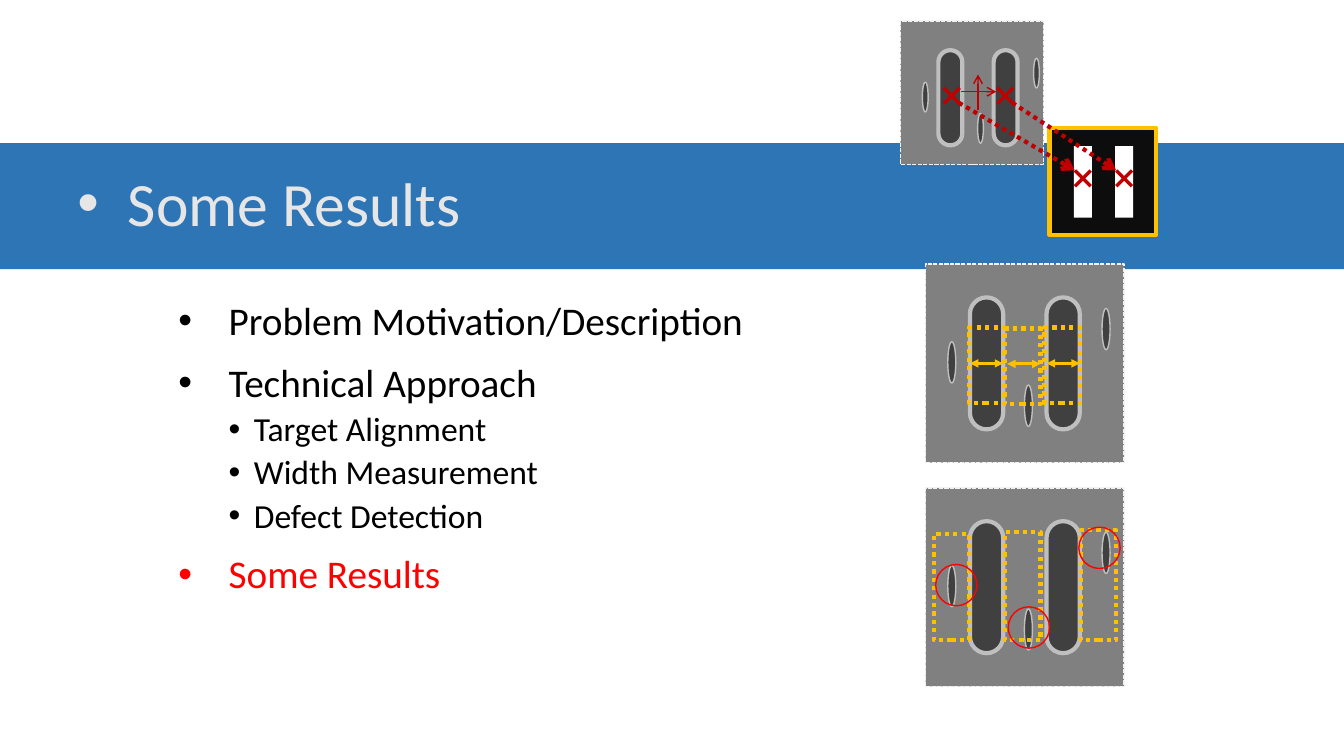
from pptx import Presentation
from pptx.dml.color import RGBColor
from pptx.enum.dml import MSO_LINE as Dash
from pptx.enum.shapes import MSO_CONNECTOR as Link, MSO_SHAPE as Shape
from pptx.enum.text import MSO_ANCHOR as Anchor
from pptx.oxml.ns import qn
from pptx.util import Inches, Pt
from lxml.etree import SubElement

COLORS = {
    "band": "2E75B6", "title": "E7E6E6", "text": "000000", "alert": "FF0000",
    "plate": "808080", "plate_edge": "F2F2F2", "dark": "404040", "rim": "BFBFBF",
    "gold": "FFC000", "mark": "C00000", "mask": "0D0D0D", "white": "FFFFFF",
}
PANEL = 1.97
OUTLINE = [
    ("Problem Motivation/Description", 0, "text"),
    ("Technical Approach", 0, "text"),
    ("Target Alignment", 1, "text"),
    ("Width Measurement", 1, "text"),
    ("Defect Detection", 1, "text"),
    ("Some Results", 0, "alert"),
]


def color(name):
    return RGBColor.from_string(COLORS[name])


def style_line(line, name, width, dash=None):
    line.color.rgb = color(name)
    line.width = Pt(width)
    if dash is not None:
        line.dash_style = dash


def add_shape(shapes, kind, box, fill=None, line=None, adjust=None):
    """Add a preset shape; line is (colour, width[, dash])."""
    shape = shapes.add_shape(kind, *map(Inches, box))
    shape.shadow.inherit = False
    if fill:
        shape.fill.solid()
        shape.fill.fore_color.rgb = color(fill)
    else:
        shape.fill.background()
    if line:
        style_line(shape.line, *line)
    else:
        shape.line.fill.background()
    if adjust is not None:
        shape.adjustments[0] = adjust
    return shape


def add_arrow(shapes, start, end, line, head=None, tail=None):
    arrow = shapes.add_connector(Link.STRAIGHT, *map(Inches, (*start, *end)))
    style_line(arrow.line, *line)
    outline = arrow.line._get_or_add_ln()
    for tag, kind in (("a:headEnd", head), ("a:tailEnd", tail)):
        if kind:
            SubElement(outline, qn(tag)).set("type", kind)
    SubElement(arrow._element.spPr, qn("a:effectLst"))
    return arrow


def add_bullet(para, words, size, name, margin, hanging, before=0):
    para.line_spacing = 0.9
    para.space_before = Pt(before)
    props = para._p.get_or_add_pPr()
    props.set("marL", str(Inches(margin)))
    props.set("indent", str(-Inches(hanging)))
    SubElement(props, qn("a:buFont")).set("typeface", "Arial")
    SubElement(props, qn("a:buChar")).set("char", "•")
    span = para.add_run()
    span.text = words
    span.font.name = "Calibri"
    span.font.size = Pt(size)
    span.font.color.rgb = color(name)


def add_text_frame(slide, box):
    frame = slide.shapes.add_textbox(*map(Inches, box)).text_frame
    frame.word_wrap = True
    return frame


def add_title(slide, left, top, width, height):
    add_shape(slide.shapes, Shape.RECTANGLE, (left, top, width, height), "band")
    frame = add_text_frame(slide, (left + 0.67, top, width - 0.67, height))
    frame.vertical_anchor = Anchor.MIDDLE
    add_bullet(frame.paragraphs[0], "Some Results", 44, "title", 0.5, 0.5)


def add_outline(slide, box):
    frame = add_text_frame(slide, box)
    for index, (words, level, name) in enumerate(OUTLINE):
        para = frame.add_paragraph() if index else frame.paragraphs[0]
        para.level = level
        if level:
            add_bullet(para, words, 24, name, 0.75, 0.25, 5)
        else:
            add_bullet(para, words, 28, name, 0.5, 0.5, 14)


def add_panel(shapes, left, top, side=PANEL, shift=(0, 0)):
    """Draw the grey plate with two slots and three defects; return the slots."""
    scale = side / PANEL

    def place(x, y, width, height):
        return (left + shift[0] + x * scale, top + shift[1] + y * scale,
                width * scale, height * scale)

    add_shape(shapes, Shape.RECTANGLE, (left, top, side, side), "plate",
              ("plate_edge", 1, Dash.SQUARE_DOT))
    slots = [add_shape(shapes, Shape.ROUNDED_RECTANGLE, place(x, 0.33, 0.33, 1.31),
                       "dark", ("rim", 3), 0.5) for x in (0.44, 1.2)]
    for x, y in ((1.75, 0.44), (0.98, 1.2), (0.22, 0.77)):
        add_shape(shapes, Shape.OVAL, place(x, y, 0.08, 0.41), "dark", ("rim", 1))
    return slots


def add_cross(shapes, x, y):
    add_shape(shapes, Shape.MATH_MULTIPLY, (x - 0.15, y - 0.15, 0.3, 0.3),
              "mark", adjust=0.109)


def add_dotted_frame(shapes, box):
    add_shape(shapes, Shape.RECTANGLE, box, line=("gold", 3, Dash.ROUND_DOT))


def add_alignment(slide, left, top):
    shapes = slide.shapes.add_group_shape().shapes
    mask_left, mask_top = left + 1.48, top + 1.06
    targets = [mask_left + x for x in (0.33, 0.74)]
    add_shape(shapes, Shape.RECTANGLE, (mask_left, mask_top, 1.06, 1.06), "mask", ("gold", 3))
    for x in targets:
        add_shape(shapes, Shape.RECTANGLE, (x - 0.09, mask_top + 0.18, 0.18, 0.71), "white")
    for x in targets:
        add_cross(shapes, x, mask_top + 0.5)

    add_panel(shapes, left, top, 1.42, (0.06, 0.05))
    for start, end in (((0.6, 0.7), (0.95, 0.7)), ((0.77, 0.88), (0.77, 0.53))):
        add_arrow(shapes, (left + start[0], top + start[1]),
                  (left + end[0], top + end[1]), ("mark", 1), tail="arrow")
    sources = [left + x for x in (0.51, 1.04)]
    for x in sources:
        add_cross(shapes, x, top + 0.74)
    for source, target in zip(sources, targets):
        add_arrow(shapes, (source + 0.07, top + 0.81), (target - 0.08, mask_top + 0.42),
                  ("mark", 3, Dash.ROUND_DOT), tail="arrow")


def add_widths(slide, left, top):
    shapes = slide.shapes.add_group_shape().shapes
    ends = {"head": "triangle", "tail": "triangle"}
    middle = top + 0.99
    for slot in add_panel(shapes, left, top):
        arrow = add_arrow(shapes, (left, middle), (left, middle), ("gold", 2), **ends)
        arrow.begin_connect(slot, 1)
        arrow.end_connect(slot, 3)
    add_arrow(shapes, (left + 0.81, middle), (left + 1.14, middle), ("gold", 2), **ends)
    for x, y in ((0.43, 0.63), (1.18, 0.63), (0.79, 0.64)):
        add_dotted_frame(shapes, (left + x, top + y, 0.35, 0.75))


def add_defects(slide, left, top):
    shapes = slide.shapes.add_group_shape().shapes
    add_panel(shapes, left, top)
    bottom = 1.51
    for x, y in ((0.08, 0.46), (1.54, 0.42), (0.79, 0.44)):
        add_dotted_frame(shapes, (left + x, top + y, 0.35, bottom - y))
    for x, y in ((1.52, 0.39), (0.82, 1.18), (0.1, 0.76)):
        add_shape(shapes, Shape.OVAL, (left + x, top + y, 0.41, 0.41), line=("alert", 1))


def main():
    deck = Presentation()
    deck.slide_width, deck.slide_height = Inches(13.33), Inches(7.5)
    page = deck.slides.add_slide(deck.slide_layouts[6])
    add_title(page, 0, 1.42, 13.33, 1.25)
    add_outline(page, (1.67, 2.94, 11, 3.89))
    add_alignment(page, 8.93, 0.21)
    add_widths(page, 9.18, 2.62)
    add_defects(page, 9.18, 4.84)
    deck.save("out.pptx")


if __name__ == "__main__":
    main()
